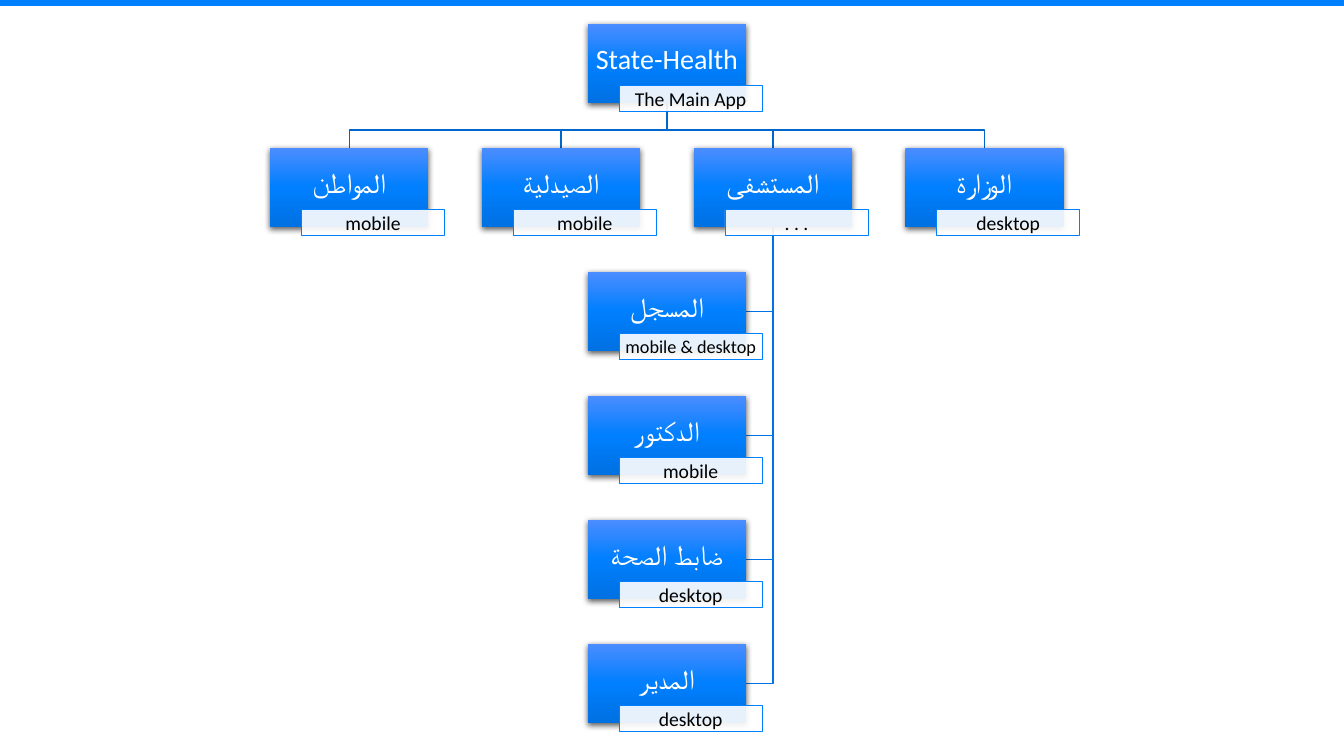
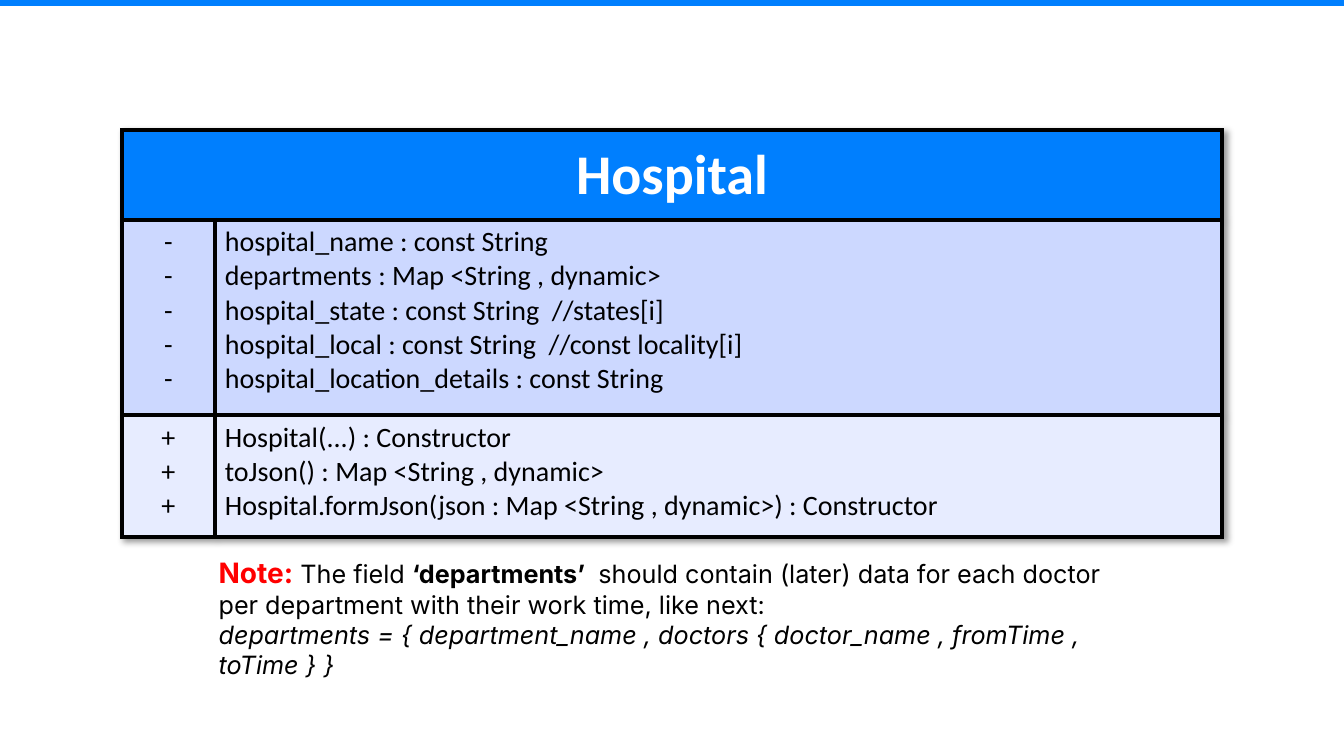
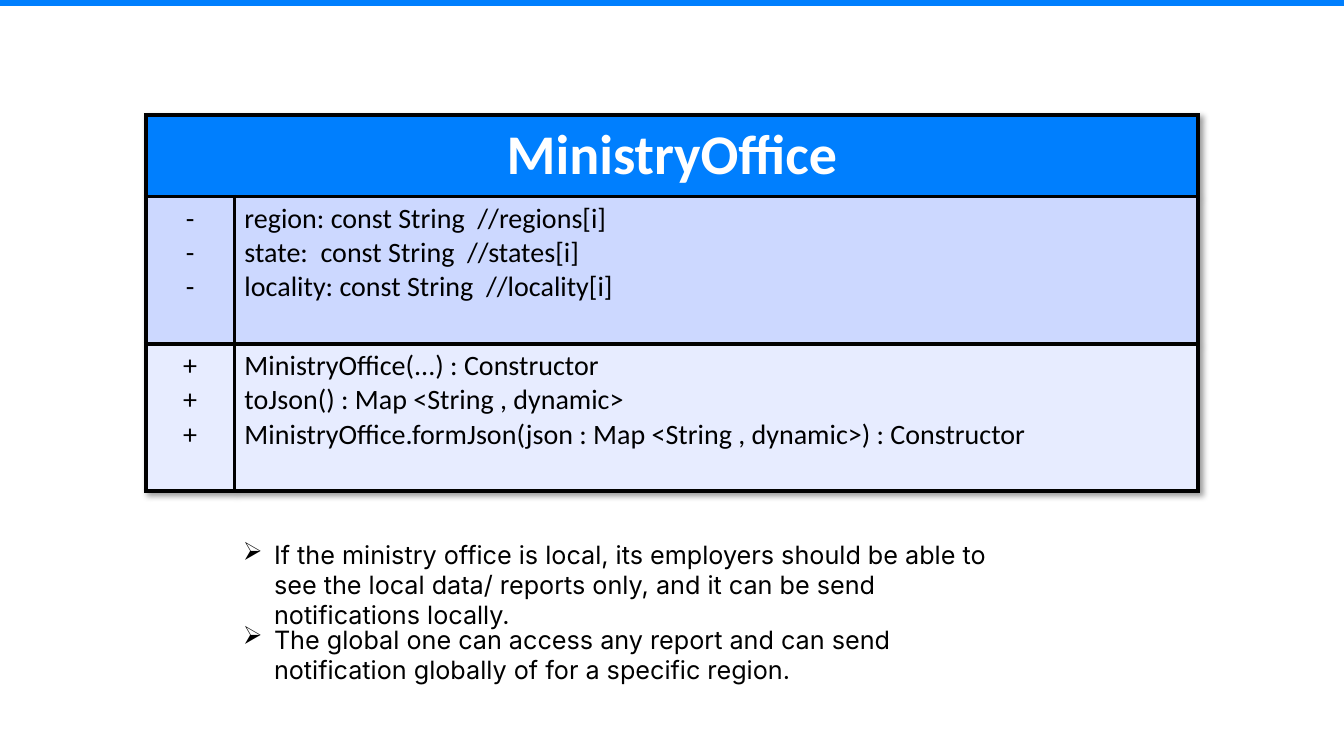
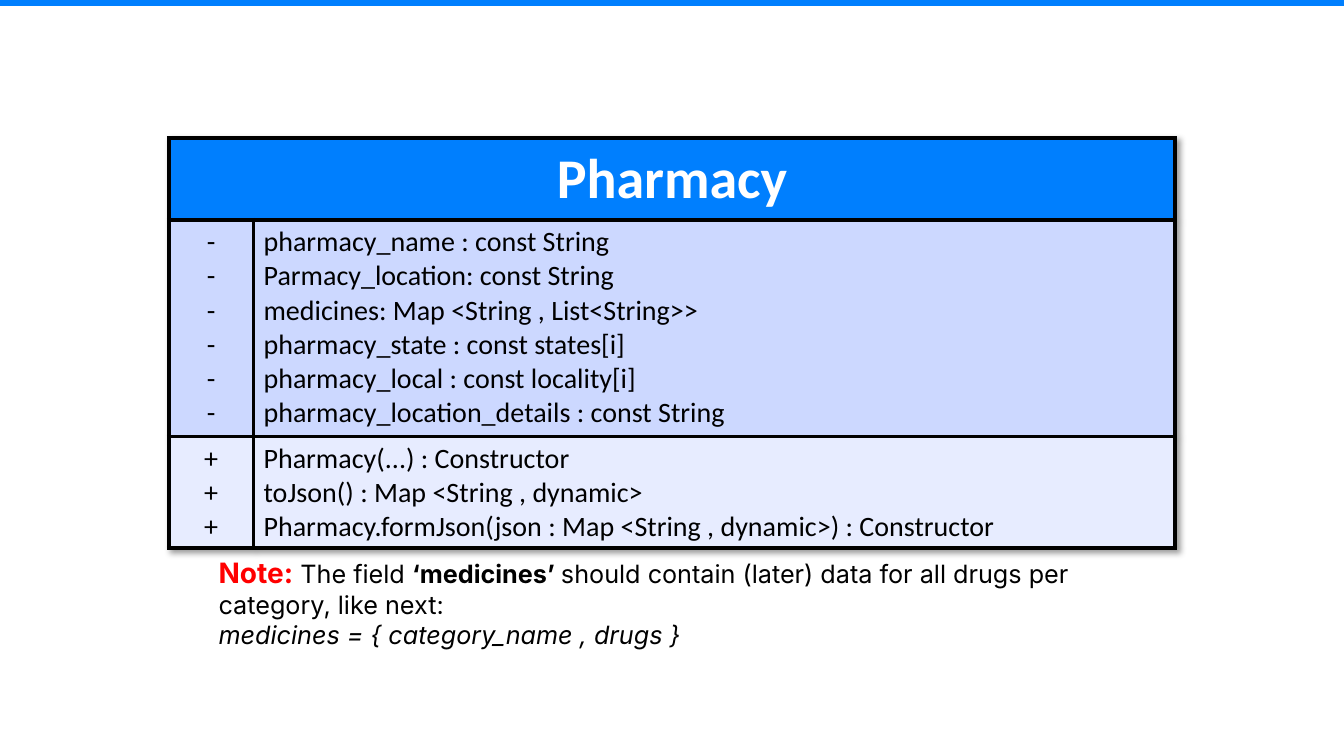
"""Build the health app chart and its three class cards."""
from copy import deepcopy

from lxml import etree
from pptx import Presentation, util as u
from pptx.dml.color import RGBColor as Rgb
from pptx.enum import shapes, text
from pptx.oxml.ns import qn

BLUE, LIGHT, DARK = Rgb(0, 127, 254), Rgb(75, 141, 255), Rgb(0, 113, 226)
TRUNK, TWIG = Rgb(0, 102, 203), Rgb(0, 115, 231)
PALE, FAINT = Rgb(204, 216, 255), Rgb(231, 236, 255)
WHITE, BLACK, RED = Rgb(255, 255, 255), Rgb(0, 0, 0), Rgb(255, 0, 0)
BODY, NOTE = "Calibri", "Inter"
WIDE, HIGH = 13.33, 7.5

ROOT = ("State-Health", "The Main App")
PARTS = [("المواطن", "mobile"), ("الصيدلية", "mobile"),
         ("المستشفى", ". . ."), ("الوزارة", "desktop")]
STAFF = [("المسجل", "mobile & desktop"), ("الدكتور", "mobile"),
         ("ضابط الصحة", "desktop"), ("المدير", "desktop")]
HUB = 2
LEFT, TOP, STEPX, STEPY = 2.68, 0.24, 2.1, 1.23
BOXW, BOXH, TAGW, TAGH = 1.57, 0.78, 1.42, 0.26

CARDS = [
    {"name": "Hospital", "top": 1.29, "cols": (0.92, 9.99), "rows": (0.89, 1.94, 1.21),
     "fields": ["hospital_name : const String",
                "departments : Map <String , dynamic>",
                "hospital_state : const String  //states[i]",
                "hospital_local : const String  //const locality[i]",
                "hospital_location_details : const String"],
     "note": ("‘departments’ ",
              " should contain (later) data for each doctor per department "
              "with their work time, like next:",
              "departments = { department_name , doctors { doctor_name , fromTime , toTime } }")},
    {"name": "MinistryOffice", "top": 1.14, "cols": (0.88, 9.56), "rows": (0.81, 1.46, 1.46),
     "fields": ["region: const String  //regions[i]",
                "state:  const String  //states[i]",
                "locality: const String  //locality[i]"],
     "points": [(5.3, 7.92, "If the ministry office is local, its employers should be able to see "
                 "the local data/ reports only, and it can be send notifications locally."),
                (6.14, 7.14, "The global one can access any report and can send notification "
                 "globally of for a specific region.")]},
    {"name": "Pharmacy", "top": 1.37, "cols": (0.84, 9.14), "rows": (0.81, 2.15, 1.11),
     "fields": ["pharmacy_name : const String",
                "Parmacy_location: const String",
                "medicines: Map <String , List<String>>",
                "pharmacy_state : const states[i]",
                "pharmacy_local : const locality[i]",
                "pharmacy_location_details : const String"],
     "note": ("‘medicines’ ",
              "should contain (later) data for all drugs per category, like next:",
              "medicines = { category_name , drugs }")},
]


def inch(*nums):
    return [u.Inches(n) for n in nums]


def style(font, name, size, color, bold=False):
    font.name, font.size, font.bold = name, u.Pt(size), bold
    font.color.rgb = color


def child(base, tag, **attrs):
    return etree.SubElement(base, qn(tag), {k: str(v) for k, v in attrs.items()})


def shade(effects, blur, dist, turn, alpha):
    drop = child(effects, "a:outerShdw", blurRad=u.Pt(blur), dist=u.Pt(dist),
                 dir=turn * 60000, algn="t", rotWithShape=0)
    child(child(drop, "a:srgbClr", val=BLACK), "a:alpha", val=alpha * 1000)


def rect(slide, *place):
    shape = slide.shapes.add_shape(shapes.MSO_SHAPE.RECTANGLE, *inch(*place))
    shape.shadow.inherit = False
    shape.line.fill.background()
    return shape


def page(deck):
    slide = deck.slides.add_slide(deck.slide_layouts[6])
    bar = rect(slide, 0, 0, WIDE, 0.06)
    bar.fill.solid()
    bar.fill.fore_color.rgb = BLUE
    return slide


def label(shape, words, size, color, sides, foot):
    frame = shape.text_frame
    frame.margin_left, frame.margin_right, frame.margin_top, frame.margin_bottom = inch(
        sides, sides, 0.01, foot)
    frame.vertical_anchor = text.MSO_ANCHOR.MIDDLE
    frame.text = words
    para = frame.paragraphs[0]
    para.alignment = text.PP_ALIGN.CENTER
    style(para.font, BODY, size, color)


def spot(col, row):
    return LEFT + STEPX * col, TOP + STEPY * row


def node(slide, col, row, title, kind):
    x, y = spot(col, row)
    box = rect(slide, x, y, BOXW, BOXH)
    box.fill.gradient()
    box.fill.gradient_angle = 270
    stops = box.element.spPr.find(".//" + qn("a:gsLst"))
    stops.insert(1, deepcopy(stops[0]))
    for stop, color, place in zip(box.fill.gradient_stops, (LIGHT, BLUE, DARK), (0, 0.5, 1)):
        stop.color.rgb, stop.position = color, place
    shade(box.element.spPr.find(qn("a:effectLst")), 4.5, 1.5, 90, 63)
    label(box, title, 20, WHITE, 0.01, 0.11)

    tag = rect(slide, x + 0.31, y + 0.61, TAGW, TAGH)
    tag.fill.solid()
    tag.fill.fore_color.rgb = WHITE
    child(tag.element.spPr.find(".//" + qn("a:srgbClr")), "a:alpha", val=90000)
    tag.line.color.rgb, tag.line.width = BLUE, u.Pt(0.5)
    label(tag, kind, 13 if len(kind) > 12 else 14, BLACK, 0.04, 0.01)


def wire(slide, color, *points):
    start, *rest = [inch(*point) for point in points]
    path = slide.shapes.build_freeform(*start)
    path.add_line_segments(rest, close=False)
    line = path.convert_to_shape()
    line.shadow.inherit = False
    line.fill.background()
    line.line.color.rgb, line.line.width = color, u.Pt(1)


def chart(deck):
    slide = page(deck)
    mid = (len(PARTS) - 1) / 2
    nodes = [(mid, 0, *ROOT)]
    nodes += [(col, 1, *part) for col, part in enumerate(PARTS)]
    nodes += [(mid, row, *role) for row, role in enumerate(STAFF, 2)]
    stem, base = spot(mid, 0)[0] + BOXW / 2, TOP + BOXH
    for col in range(len(PARTS)):
        x, y = spot(col, 1)
        x += BOXW / 2
        wire(slide, TRUNK, (stem, base), (stem, base + 0.27), (x, base + 0.27), (x, y))
    hub = spot(HUB, 1)[0] + BOXW / 2
    for row in range(2, len(STAFF) + 2):
        x, y = spot(mid, row)
        y += BOXH / 2
        wire(slide, TWIG, (hub, base + STEPY), (hub, y), (x + BOXW, y))
    for item in nodes:
        node(slide, *item)


def fill(cell, lines, color, size, ink, center, bold=False):
    props = cell._tc.get_or_add_tcPr()
    for side in ("a:lnL", "a:lnR", "a:lnT", "a:lnB"):
        edge = child(props, side, w=u.Pt(3))
        child(child(edge, "a:solidFill"), "a:srgbClr", val=BLACK)
    cell.fill.solid()
    cell.fill.fore_color.rgb = color
    cell.text_frame.text = "\n".join(lines)
    for para in cell.text_frame.paragraphs:
        para.alignment = text.PP_ALIGN.CENTER if center else text.PP_ALIGN.LEFT
        style(para.font, BODY, size, ink, bold)


def grid(slide, name, top, cols, rows, fields):
    wide = sum(cols)
    table = slide.shapes.add_table(
        3, 2, *inch((WIDE - wide) / 2, top, wide, sum(rows))).table
    for col, size in zip(table.columns, cols):
        col.width = u.Inches(size)
    for row, size in zip(table.rows, rows):
        row.height = u.Inches(size)
    effects = etree.Element(qn("a:effectLst"))
    shade(effects, 4, 3, 45, 40)
    table._tbl.tblPr.insert(0, effects)

    table.cell(0, 0).merge(table.cell(0, 1))
    fill(table.cell(0, 0), [name], BLUE, 40, WHITE, True, True)
    table.cell(0, 0).vertical_anchor = text.MSO_ANCHOR.MIDDLE
    fill(table.cell(0, 1), [], BLUE, 40, WHITE, True)
    calls = [f"{name}(...) : Constructor", "toJson() : Map <String , dynamic>",
             f"{name}.formJson(json : Map <String , dynamic>) : Constructor"]
    for row, (mark, lines, color) in enumerate((("-", fields, PALE), ("+", calls, FAINT)), 1):
        fill(table.cell(row, 0), [mark] * len(lines), color, 20, BLACK, True)
        fill(table.cell(row, 1), lines, color, 20, BLACK, False)


def prose(slide, *place):
    frame = slide.shapes.add_textbox(*inch(*place)).text_frame
    frame.word_wrap = True
    para = frame.paragraphs[0]
    style(para.font, NOTE, 18, BLACK)
    return frame, para


def remark(slide, field, rest, sample):
    frame, para = prose(slide, 2.07, 5.46, 9.2, 1.04)
    head, _, term, _ = [para.add_run() for _ in range(4)]
    for run, words in zip(para.runs, ("Note:", " The field ", field, rest)):
        run.text = words
    style(head.font, NOTE, 20, RED, True)
    term.font.bold = True
    last = frame.add_paragraph()
    last.text = sample
    style(last.font, NOTE, 18, BLACK)
    last.font.italic = True


def point(slide, top, wide, words):
    para = prose(slide, 2.31, top, wide, 0.71)[1]
    para.text = words
    props = para._p.get_or_add_pPr()
    props.set("marL", str(u.Inches(0.31)))
    props.set("indent", str(-u.Inches(0.31)))
    mark = etree.Element(qn("a:buChar"), char="➢")
    props.insert(0, mark)


def main():
    deck = Presentation()
    deck.slide_width, deck.slide_height = inch(WIDE, HIGH)
    chart(deck)
    for card in CARDS:
        slide = page(deck)
        grid(slide, *[card[key] for key in ("name", "top", "cols", "rows", "fields")])
        if "note" in card:
            remark(slide, *card["note"])
        for item in card.get("points", []):
            point(slide, *item)
    deck.save("out.pptx")


if __name__ == "__main__":
    main()
